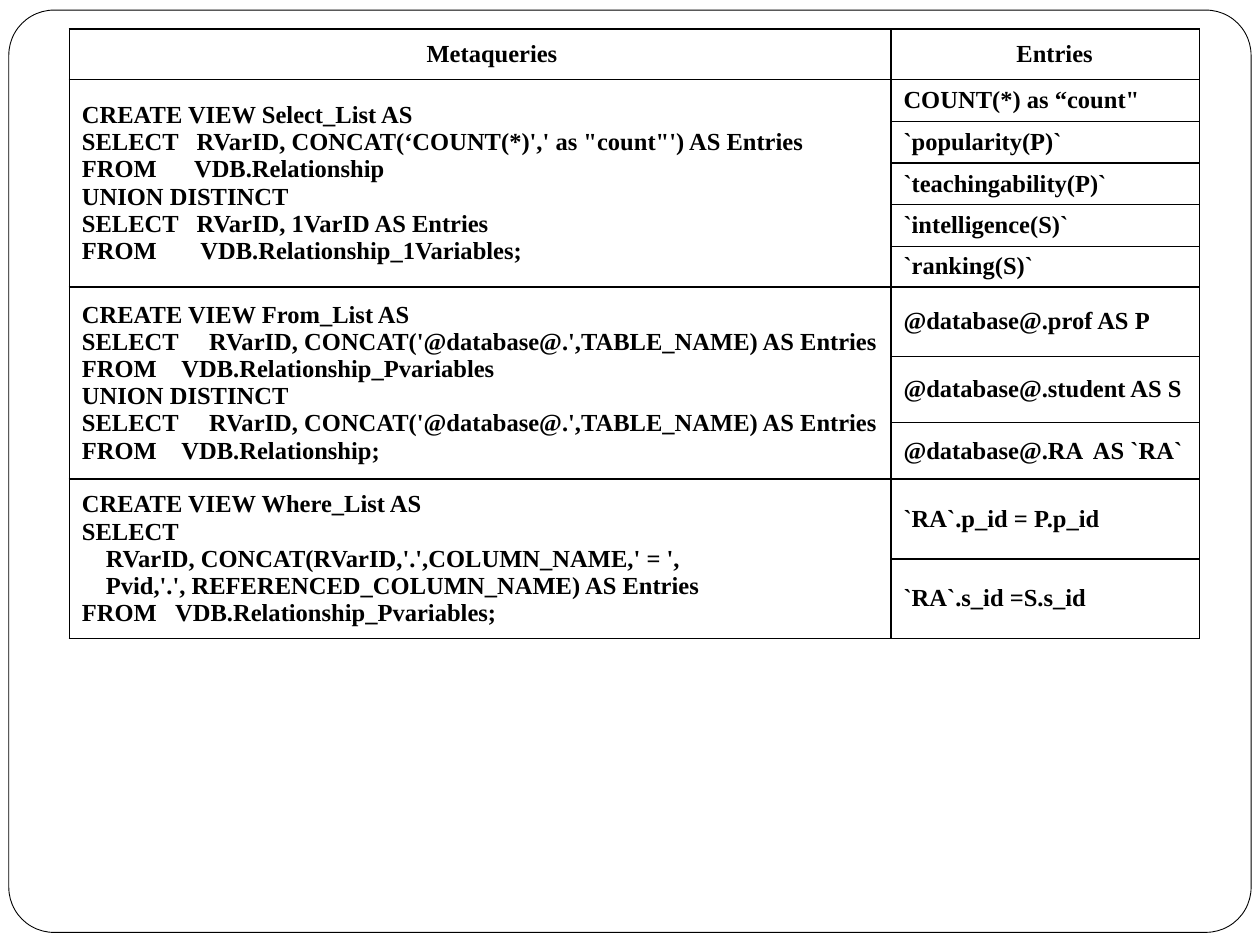
from lxml import etree
from pptx import Presentation
from pptx.dml.color import RGBColor
from pptx.enum.shapes import MSO_SHAPE
from pptx.enum.text import MSO_ANCHOR, PP_ALIGN
from pptx.oxml.ns import qn
from pptx.util import Inches, Pt

ROUNDED = MSO_SHAPE.ROUNDED_RECTANGLE
MIDDLE = MSO_ANCHOR.MIDDLE
LEFT, CENTER = PP_ALIGN.LEFT, PP_ALIGN.CENTER
BLACK = RGBColor(0, 0, 0)
WHITE = RGBColor(255, 255, 255)

SLIDE_W, SLIDE_H = Inches(10), Inches(7.5)
FRAME_BOX = (0.07, 0.08, 9.86, 7.32)
TABLE_BOX = (0.55, 0.23, 8.97, 4.84)
COLUMN_SHARES = (0.727, 0.273)
HEADER_HEIGHT = 0.4
CODE_FONT = {"name": "Times New Roman", "size": Pt(14), "bold": True}

# Header text and the left inset that nudges it off centre
HEADERS = (("Metaqueries", 0.19), ("Entries", 0.15))

# Each view: its lines with tab stop or indent, then its entries with row heights
VIEWS = (
    (
        (("CREATE VIEW Select_List AS", 0),
         ("SELECT\tRVarID, CONCAT(‘COUNT(*)',' as \"count\"') AS Entries", 0.91),
         ("FROM\tVDB.Relationship", 0.89),
         ("UNION DISTINCT", 0),
         ("SELECT\tRVarID, 1VarID AS Entries", 0.91),
         ("FROM\tVDB.Relationship_1Variables;", 0.94)),
        (("COUNT(*) as “count\"", 0.33),
         ("`popularity(P)`", 0.33),
         ("`teachingability(P)`", 0.33),
         ("`intelligence(S)`", 0.33),
         ("`ranking(S)`", 0.32)),
    ),
    (
        (("CREATE VIEW From_List AS", 0),
         ("SELECT\tRVarID, CONCAT('@database@.',TABLE_NAME) AS Entries", 1.01),
         ("FROM\tVDB.Relationship_Pvariables", 0.79),
         ("UNION DISTINCT", 0),
         ("SELECT\tRVarID, CONCAT('@database@.',TABLE_NAME) AS Entries", 1.01),
         ("FROM\tVDB.Relationship;", 0.79)),
        (("@database@.prof AS P", 0.55),
         ("@database@.student AS S", 0.52),
         ("@database@.RA  AS `RA`", 0.45)),
    ),
    (
        (("CREATE VIEW Where_List AS", 0),
         ("SELECT", 0),
         ("RVarID, CONCAT(RVarID,'.',COLUMN_NAME,' = ',", 0.19),
         ("Pvid,'.', REFERENCED_COLUMN_NAME) AS Entries", 0.19),
         ("FROM\tVDB.Relationship_Pvariables;", 0.74)),
        (("`RA`.p_id = P.p_id", 0.63),
         ("`RA`.s_id =S.s_id", 0.63)),
    ),
)


def add_frame(slide, box):
    frame = slide.shapes.add_shape(ROUNDED, *map(Inches, box))
    frame.adjustments[0] = 0.049
    frame.shadow.inherit = False
    frame.fill.solid()
    frame.fill.fore_color.rgb = WHITE
    frame.line.color.rgb = BLACK
    frame.line.width = Pt(0.5)


def style_cell(cell):
    """Give a cell black edges and a white fill."""
    properties = cell._tc.get_or_add_tcPr()
    for edge in ("a:lnL", "a:lnR", "a:lnT", "a:lnB"):
        line = etree.SubElement(properties, qn(edge), w=str(Pt(1)))
        fill = etree.SubElement(line, qn("a:solidFill"))
        etree.SubElement(fill, qn("a:srgbClr"), val=str(BLACK))
    cell.fill.solid()
    cell.fill.fore_color.rgb = WHITE
    cell.vertical_anchor = MIDDLE


def set_gap(paragraph, gap):
    """Use the gap as a tab stop if the line has a tab, else as its indent."""
    properties = paragraph._p.get_or_add_pPr()
    if "\t" in paragraph.text:
        stops = etree.SubElement(properties, qn("a:tabLst"))
        etree.SubElement(stops, qn("a:tab"), pos=str(Inches(gap)), algn="l")
    else:
        properties.set("marL", str(Inches(gap)))
        properties.set("indent", "0")


def write_lines(cell, lines, alignment=LEFT):
    frame = cell.text_frame
    for number, (text, gap) in enumerate(lines):
        paragraph = frame.add_paragraph() if number else frame.paragraphs[0]
        paragraph.alignment = alignment
        run = paragraph.add_run()
        run.text = text
        for attribute, value in CODE_FONT.items():
            setattr(run.font, attribute, value)
        run.font.color.rgb = BLACK
        if gap:
            set_gap(paragraph, gap)


def write_header(table):
    for column, (title, inset) in enumerate(HEADERS):
        cell = table.cell(0, column)
        cell.margin_left = Inches(inset)
        cell.margin_right = cell.margin_top = cell.margin_bottom = 0
        write_lines(cell, [(title, 0)], CENTER)


def write_view(table, top, query, entries):
    """Write one view beside its entries and return the next free row."""
    below = top + len(entries)
    table.cell(top, 0).merge(table.cell(below - 1, 0))
    write_lines(table.cell(top, 0), query)
    for row, (entry, _) in enumerate(entries, top):
        write_lines(table.cell(row, 1), [(entry, 0)])
    return below


def add_metaquery_table(slide, box):
    heights = [HEADER_HEIGHT]
    heights += [height for _, entries in VIEWS for _, height in entries]
    left, top, width, height = map(Inches, box)
    table = slide.shapes.add_table(
        len(heights), len(COLUMN_SHARES), left, top, width, height).table
    for column, share in zip(table.columns, COLUMN_SHARES):
        column.width = int(width * share)
    for row, share in zip(table.rows, heights):
        row.height = int(height * share / sum(heights))
    for cell in table.iter_cells():
        style_cell(cell)
    write_header(table)
    next_row = 1
    for query, entries in VIEWS:
        next_row = write_view(table, next_row, query, entries)


def main():
    deck = Presentation()
    deck.slide_width, deck.slide_height = SLIDE_W, SLIDE_H
    slide = deck.slides.add_slide(deck.slide_layouts[6])
    add_frame(slide, FRAME_BOX)
    add_metaquery_table(slide, TABLE_BOX)
    deck.save("out.pptx")


if __name__ == "__main__":
    main()
